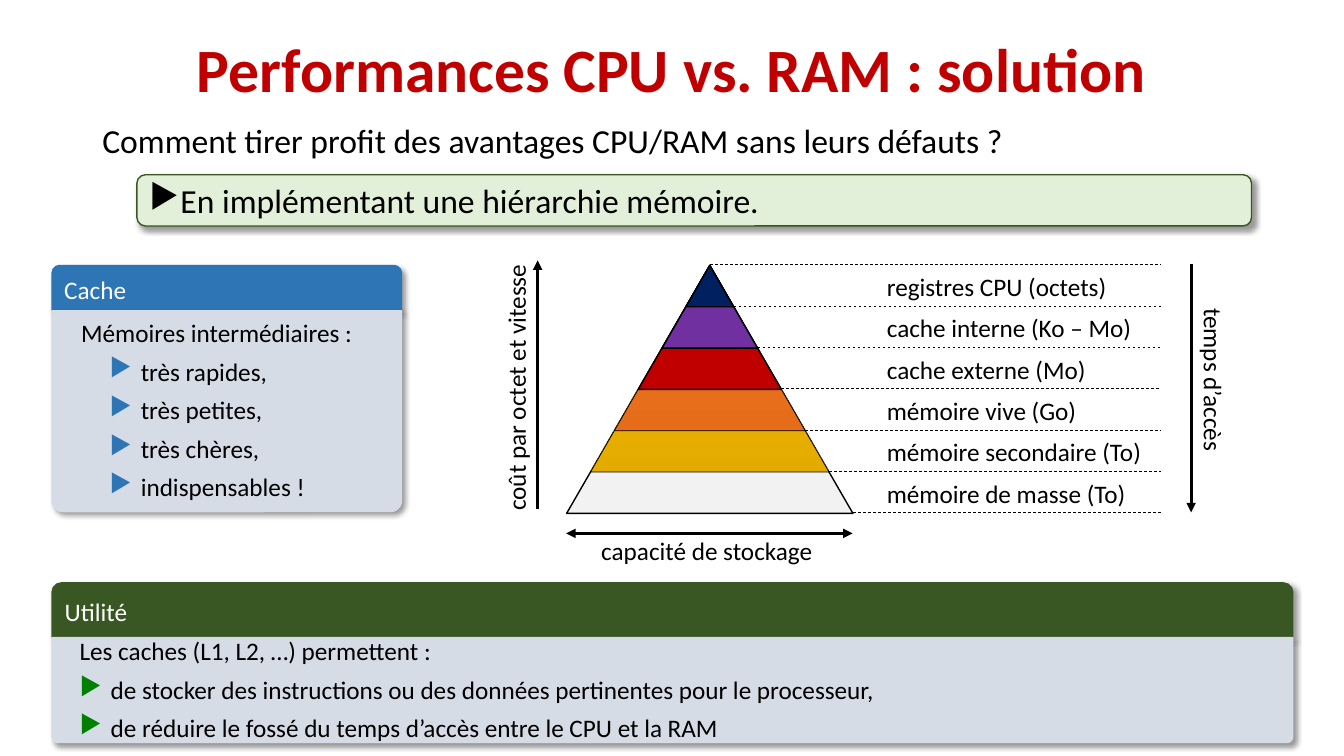
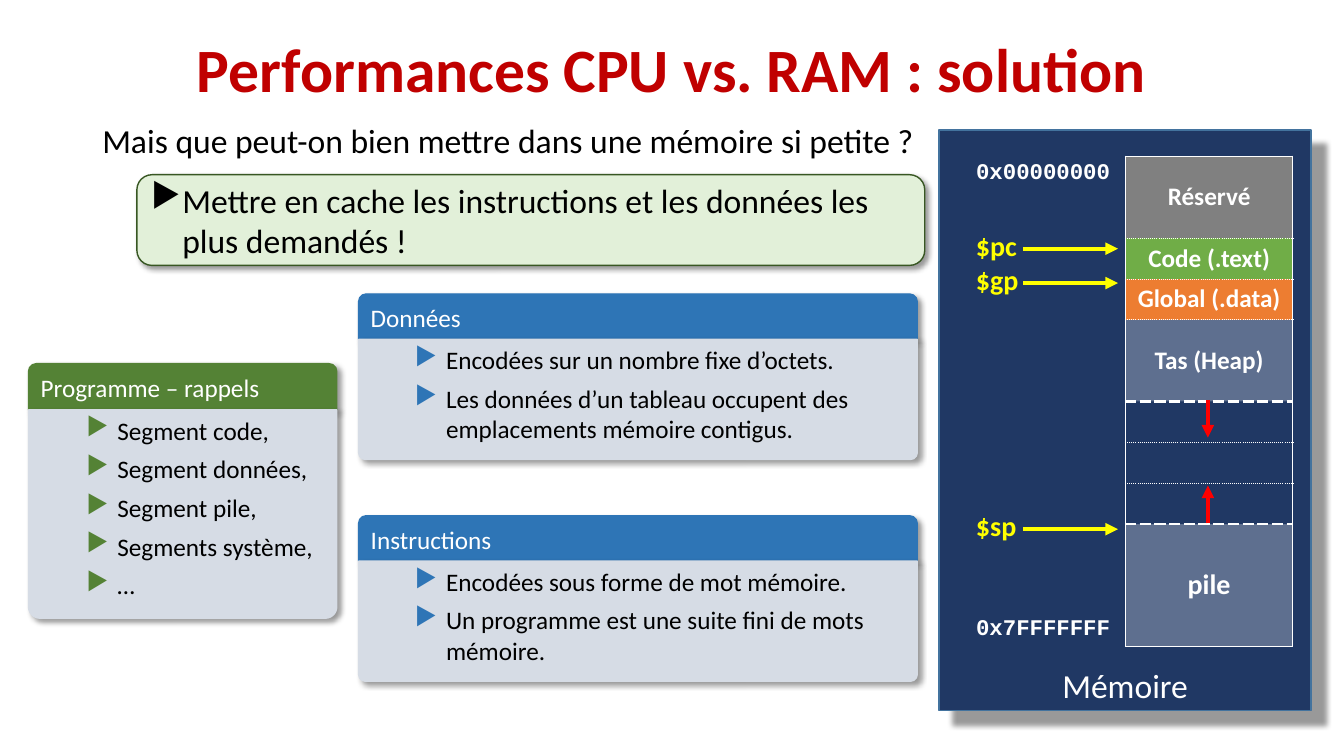
from dataclasses import dataclass

from lxml.etree import SubElement
from pptx import Presentation
from pptx.dml.color import RGBColor as RGB
from pptx.enum.dml import MSO_LINE as Dash
from pptx.enum.shapes import MSO_CONNECTOR as Connector, MSO_SHAPE as Shape
from pptx.enum.text import MSO_ANCHOR as Anchor, PP_ALIGN as Align
from pptx.oxml.ns import qn
from pptx.util import Inches, Pt


@dataclass(frozen=True)
class Theme:
    font: str = "Calibri"
    code_font: str = "Courier New"
    title_size: int = 44
    lead_size: int = 24
    label_size: int = 20
    text_size: int = 18
    code_size: int = 16
    black: str = "000000"
    white: str = "FFFFFF"
    title: str = "C00000"
    blue: str = "2E75B6"
    green: str = "548235"
    dark_green: str = "385723"
    bullet_green: str = "008000"
    pale_green: str = "E2F0D9"
    panel: str = "D6DCE5"
    navy: str = "203864"
    navy_line: str = "43739E"
    yellow: str = "FFFF00"
    red: str = "FF0000"


theme = Theme()
COLUMNS, ROWS = 160, 90
UNIT = Inches(1) // 12
HANGING = 3.7

presentation = Presentation()
presentation.slide_width = COLUMNS * UNIT
presentation.slide_height = ROWS * UNIT


def write_text(frame, lines, size=theme.text_size, colour=theme.black, bold=False,
               font=theme.font, **paragraph_format):
    """Fill a frame with lines, each given as (text, left margin, bullet colour)."""
    paragraph_format = {"alignment": Align.LEFT, **paragraph_format}
    font_format = {"name": font, "size": Pt(size), "bold": bold}
    for index, (text, margin, bullet) in enumerate(lines):
        paragraph = frame.add_paragraph() if index else frame.paragraphs[0]
        for name, value in paragraph_format.items():
            setattr(paragraph, name, value)
        run = paragraph.add_run()
        run.text = text
        for name, value in font_format.items():
            setattr(run.font, name, value)
        run.font.color.rgb = RGB.from_string(colour)
        properties = paragraph._p.get_or_add_pPr()
        properties.set("marL", str(round(margin * UNIT)))
        properties.set("indent", str(round(-HANGING * UNIT) if bullet else 0))
        if bullet:
            bullet_colour = SubElement(properties, qn("a:buClr"))
            SubElement(bullet_colour, qn("a:srgbClr"), val=bullet)
            SubElement(properties, qn("a:buChar"), char="▶")


def add_box(shapes, kind, place, fill=None, line=None, width=1, shadow=0,
            anchor=Anchor.MIDDLE):
    """Add a shape, or a text box when kind is None; shadow is its distance in points."""
    place = [round(value * UNIT) for value in place]
    if kind is None:
        box = shapes.add_textbox(*place)
    else:
        box = shapes.add_shape(kind, *place)
        box.shadow.inherit = False
        box.fill.solid()
        box.fill.fore_color.rgb = RGB.from_string(fill)
        box.line.color.rgb = RGB.from_string(line or fill)
        box.line.width = Pt(width)
    box.text_frame.word_wrap = True
    box.text_frame.vertical_anchor = anchor
    if shadow:
        effects = box._element.spPr.find(qn("a:effectLst"))
        outer = SubElement(effects, qn("a:outerShdw"), blurRad=str(Pt(4)),
                           dist=str(Pt(shadow)), dir="2700000", algn="tl", rotWithShape="0")
        shade = SubElement(outer, qn("a:srgbClr"), val=theme.black)
        SubElement(shade, qn("a:alpha"), val="40000")
    return box


# Title, question and answer of each slide
slides = []
for question, answer, answer_width, answer_height in [
    ("Comment tirer profit des avantages CPU/RAM sans leurs défauts ?",
     "En implémentant une hiérarchie mémoire.", 132.7, 6.1),
    ("Mais que peut-on bien mettre dans une mémoire si petite ?",
     "Mettre en cache les instructions et les données les plus demandés !", 93.8, 10.8),
]:
    slide = presentation.slides.add_slide(presentation.slide_layouts[6])
    slides.append(slide)
    title = add_box(slide.shapes, None, (11, -0.1, 138, 17.4))
    write_text(title.text_frame, [("Performances CPU vs. RAM : solution", 0, None)],
               theme.title_size, theme.title, True, alignment=Align.CENTER, line_spacing=0.9)
    lead = add_box(slide.shapes, None, (11, 14.2, 138, 5.5), anchor=Anchor.TOP)
    write_text(lead.text_frame, [(question, 0, None)], theme.lead_size, line_spacing=0.9)
    callout = add_box(slide.shapes, Shape.ROUNDED_RECTANGLE,
                      (16.3, 20.8, answer_width, answer_height),
                      theme.pale_green, theme.dark_green, shadow=3)
    write_text(callout.text_frame, [(answer, HANGING, theme.black)], theme.lead_size)
hierarchy, contents = slides

# Panels: a coloured header above a body of bullets
after, before = {"space_after": Pt(6)}, {"space_before": Pt(6)}
for slide, heading, colour, bullet, place, header, anchor, spacing, intro, margin, items in [
    (hierarchy, "Cache", theme.blue, theme.blue, (6.2, 31.6, 41.6, 29.3), 5.4,
     Anchor.MIDDLE, after, ["Mémoires intermédiaires :"], 9,
     ["très rapides,", "très petites,", "très chères,", "indispensables !"]),
    (hierarchy, "Utilité", theme.dark_green, theme.bullet_green, (6.2, 69.4, 147.7, 19), 6.5,
     Anchor.MIDDLE, before, ["Les caches (L1, L2, …) permettent :"], 5.6,
     ["de stocker des instructions ou des données pertinentes pour le processeur,",
      "de réduire le fossé du temps d’accès entre le CPU et la RAM"]),
    (contents, "Données", theme.blue, theme.blue, (42.7, 35, 66.5, 19.7), 5.4,
     Anchor.TOP, after, [], 9,
     ["Encodées sur un nombre fixe d’octets.",
      "Les données d’un tableau occupent des emplacements mémoire contigus."]),
    (contents, "Instructions", theme.blue, theme.blue, (42.7, 61.4, 66.5, 19.7), 5.4,
     Anchor.TOP, after, [], 9,
     ["Encodées sous forme de mot mémoire.",
      "Un programme est une suite fini de mots mémoire."]),
    (contents, "Programme – rappels", theme.green, theme.green, (3.4, 43.3, 36.7, 30.3), 5.5,
     Anchor.TOP, after, [], 9,
     ["Segment code,", "Segment données,", "Segment pile,", "Segments système,", "…"]),
]:
    left, top, width, height = place
    panel = slide.shapes.add_group_shape().shapes
    head = add_box(panel, Shape.ROUND_2_SAME_RECTANGLE, (left, top, width, header),
                   colour, shadow=3)
    write_text(head.text_frame, [(heading, 0, None)], colour=theme.white)
    body = add_box(panel, Shape.ROUND_2_SAME_RECTANGLE,
                   (left, top + header, width, height - header),
                   theme.panel, shadow=3, anchor=anchor)
    body.adjustments[0], body.adjustments[1] = 0, 0.055
    write_text(body.text_frame, [(text, 1.9, None) for text in intro]
               + [(text, margin, bullet) for text in items], **spacing)

# Pyramid: triangles sharing one apex, the largest at the back
APEX, SUMMIT, LEVEL, HALF_STEP = 84.5, 31.6, 4.92, 2.84
levels = [
    ("registres CPU (octets)", "002060", None, 1),
    ("cache interne (Ko – Mo)", "7030A0", None, 1),
    ("cache externe (Mo)", "C00000", None, 1),
    ("mémoire vive (Go)", "F67B28", "E56C19", 0.5),
    ("mémoire secondaire (To)", "FFC000", "E3AB00", 0.5),
    ("mémoire de masse (To)", "F2F2F2", None, 1),
]
for rank, (name, colour, end_colour, width) in reversed(list(enumerate(levels, 1))):
    triangle = add_box(hierarchy.shapes, Shape.ISOSCELES_TRIANGLE,
                       (APEX - rank * HALF_STEP, SUMMIT, 2 * rank * HALF_STEP, rank * LEVEL),
                       colour, theme.black, width)
    if end_colour:
        triangle.fill.gradient()
        triangle.fill.gradient_angle = 270
        for stop, shade in zip(triangle.fill.gradient_stops, (colour, end_colour)):
            stop.color.rgb = RGB.from_string(shade)
    label = add_box(hierarchy.shapes, None, (104.4, SUMMIT + (rank - 1) * LEVEL + 0.1, 35, 4.8))
    write_text(label.text_frame, [(name, 0, None)])

for name, place, rotation in [
    ("coût par octet et vitesse", (45, 43.2, 32.8, 4.8), 270),
    ("temps d’accès", (134.4, 43.2, 20.2, 4.8), 90),
    ("capacité de stockage", (70.4, 63.1, 28.6, 4.8), 0),
]:
    label = add_box(hierarchy.shapes, None, place)
    label.rotation = rotation
    write_text(label.text_frame, [(name, 0, None)])

# Memory map
memory = add_box(contents.shapes, Shape.RECTANGLE, (111.8, 15.5, 44.3, 69.1),
                 theme.navy, theme.navy_line, shadow=14, anchor=Anchor.BOTTOM)
write_text(memory.text_frame, [("Mémoire", 0, None)], theme.lead_size, theme.white,
           alignment=Align.CENTER)

CELLS, CELL_HEIGHT, MAP_LEFT, MAP_TOP = 12, 4.87, 115, 18.6
column_widths = (19, 19.9)
table = contents.shapes.add_table(
    CELLS, 2, round(MAP_LEFT * UNIT), round(MAP_TOP * UNIT),
    round(sum(column_widths) * UNIT), round(CELLS * CELL_HEIGHT * UNIT)).table
table.first_row = table.horz_banding = False
table._tbl.tblPr.find(qn("a:tableStyleId")).text = "{2D5ABB26-0587-4C30-8999-92F81FD0307C}"
for column, width in zip(table.columns, column_widths):
    column.width = round(width * UNIT)
for row in table.rows:
    row.height = round(CELL_HEIGHT * UNIT)
    row.cells[0].fill.background()
for row, address, anchor in [(0, "0x00000000", Anchor.TOP),
                             (CELLS - 1, "0x7FFFFFFF", Anchor.BOTTOM)]:
    cell = table.cell(row, 0)
    cell.vertical_anchor = anchor
    write_text(cell.text_frame, [(address, 0, None)], theme.code_size, theme.white, True,
               theme.code_font)

solid, dotted, dashed = (1, "solid"), (0.5, "sysDot"), (2.25, "lgDash")
row = 0
for name, span, fill, opacity, size, above, below in [
    ("Réservé", 2, "808080", 100, theme.text_size, solid, dotted),
    ("Code (.text)", 1, "70AD47", 100, theme.text_size, dotted, dotted),
    ("Global (.data)", 1, "ED7D31", 100, theme.text_size, dotted, dotted),
    ("Tas (Heap)", 2, theme.white, 28, theme.text_size, dotted, dashed),
    ("", 1, None, 0, theme.text_size, dashed, dotted),
    ("", 1, None, 0, theme.text_size, dotted, dotted),
    ("", 1, None, 0, theme.text_size, dotted, dashed),
    ("pile", 3, theme.white, 28, theme.label_size, dashed, solid),
]:
    cell = table.cell(row, 1)
    if span > 1:
        cell.merge(table.cell(row + span - 1, 1))
    for offset in range(span):
        properties = table.cell(row + offset, 1)._tc.get_or_add_tcPr()
        sides = [("L", solid), ("R", solid)] + ([] if offset else [("T", above), ("B", below)])
        for side, (width, dash) in sides:
            border = SubElement(properties, qn(f"a:ln{side}"), w=str(Pt(width)))
            SubElement(SubElement(border, qn("a:solidFill")), qn("a:srgbClr"), val=theme.white)
            SubElement(border, qn("a:prstDash"), val=dash)
    cell.vertical_anchor = Anchor.MIDDLE
    if fill:
        cell.fill.solid()
        cell.fill.fore_color.rgb = RGB.from_string(fill)
        tint = cell._tc.tcPr.find(qn("a:solidFill")).find(qn("a:srgbClr"))
        SubElement(tint, qn("a:alpha"), val=str(opacity * 1000))
    else:
        cell.fill.background()
    if name:
        write_text(cell.text_frame, [(name, 0, None)], size, theme.white, True,
                   alignment=Align.CENTER)
    row += span

registers = [("$pc", 29.6), ("$gp", 33.7), ("$sp", 63)]
for name, middle in registers:
    label = add_box(contents.shapes, None, (MAP_LEFT, middle - 3.1, 9, 5.3))
    write_text(label.text_frame, [(name, 0, None)], theme.label_size, theme.yellow, True)

# Lines and arrows: slide, start, end, colour, width, dash, arrowheads
level_lines = [
    (hierarchy, (APEX + rank * HALF_STEP, SUMMIT + rank * LEVEL - 0.1),
     (138.2, SUMMIT + rank * LEVEL - 0.1), theme.black, 0.5, Dash.DASH, [])
    for rank in range(len(levels) + 1)
]
axes = [
    (hierarchy, start, end, theme.black, 2.25, None, heads)
    for start, end, heads in [
        ((141.8, 31.4), (141.8, 61), ["tailEnd"]),
        ((64, 60.6), (64, 31), ["tailEnd"]),
        ((67.4, 63.5), (101.5, 63.5), ["headEnd", "tailEnd"]),
    ]
]
pointers = [
    (contents, (121.8, middle), (133.1, middle), theme.yellow, 3, None, ["tailEnd"])
    for name, middle in registers
]
growth = [
    (contents, (143.8, start), (143.8, end), theme.red, 3, None, ["tailEnd"])
    for start, end in [(47.6, 52.1), (62.3, 57.8)]
]
for slide, start, end, colour, width, dash, heads in level_lines + axes + pointers + growth:
    connector = slide.shapes.add_connector(
        Connector.STRAIGHT, *[round(value * UNIT) for value in start + end])
    SubElement(connector._element.spPr, qn("a:effectLst"))
    connector.line.color.rgb = RGB.from_string(colour)
    connector.line.width = Pt(width)
    if dash:
        connector.line.dash_style = dash
    for head in heads:
        SubElement(connector.line._get_or_add_ln(), qn(f"a:{head}"), type="triangle")

presentation.save("out.pptx")
